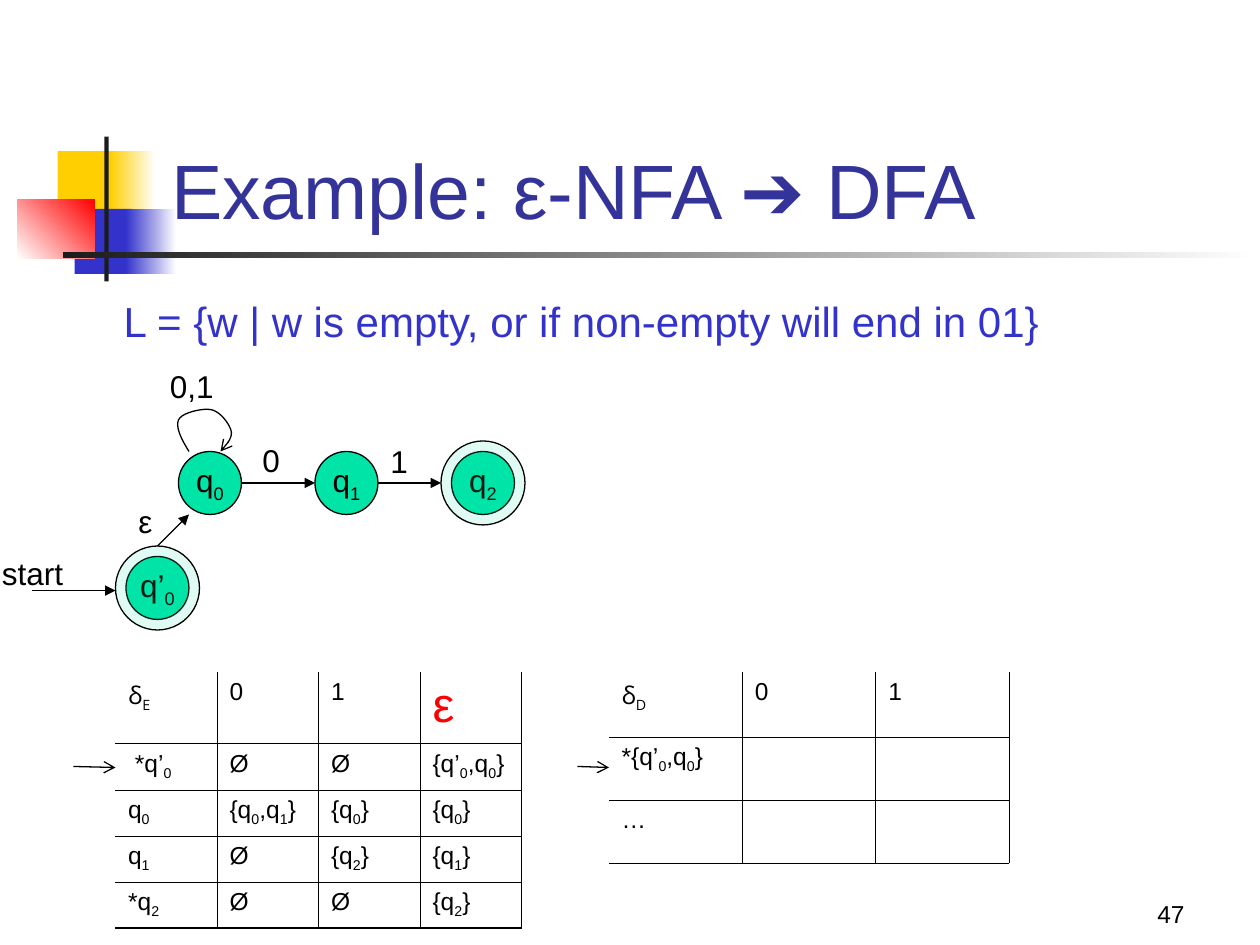
"""Builds a slide that turns an ε-NFA into a DFA, with state diagram and transition tables."""
from dataclasses import dataclass

from lxml.etree import SubElement
from pptx import Presentation
from pptx.dml.color import RGBColor
from pptx.enum.shapes import MSO_CONNECTOR, MSO_SHAPE
from pptx.enum.text import MSO_ANCHOR, MSO_AUTO_SIZE, PP_ALIGN
from pptx.oxml import parse_xml
from pptx.oxml.ns import nsdecls, qn
from pptx.util import Inches, Pt


@dataclass(frozen=True)
class Theme:
    font: str = "Arial"
    symbol_font: str = "Open Sans"
    title: str = "333399"
    blue: str = "3333CC"
    yellow: str = "FFCF01"
    red: str = "FF0000"
    bar: str = "1C1C1C"
    white: str = "FFFFFF"
    ink: str = "000000"
    state: str = "00E4A8"
    title_size: int = 44
    formula_size: int = 24
    label_size: int = 18
    cell_size: int = 14
    epsilon_size: int = 28
    line: float = 0.75
    rule: float = 0.45
    outer_rule: float = 1.08


THEME = Theme()
COLUMNS, ROWS = 120, 90
WIDTH, HEIGHT = Inches(10), Inches(7.5)

TITLE = "Example: ε-NFA ➔ DFA"
FORMULA = "L = {w | w is empty, or if non-empty will end in 01}"
PAGE = "47"

ORNAMENTS = [
    ((5.5, 14.4, 5.8, 6.2), (THEME.yellow,), 0),
    ((10.5, 14.4, 4.3, 6.2), (THEME.yellow, THEME.white), 0),
    ((7.1, 19.9, 5.5, 6.2), (THEME.blue,), 0),
    ((12, 19.9, 4.8, 6.2), (THEME.blue, THEME.white), 0),
    ((1.65, 19, 7.4, 5.6), (THEME.white, THEME.red), 45),
    ((9.95, 13, 0.4, 13.8), (THEME.bar,), 0),
    ((6, 24, 114, 0.6), (THEME.bar, THEME.white), 0),
]

STATES = [
    ("q_0", 20, 46, False),
    ("q_1", 33, 46, False),
    ("q_2", 46, 46, True),
    ("q’_0", 15, 56, True),
]
STATE_RADIUS, ACCEPT_RADIUS = 3, 4

LABELS = [
    ("start", (-1, 52.2, 8.2, 4.8)),
    ("0", (23.8, 41.4, 4.1, 4.8)),
    ("0,1", (15, 34.4, 6.6, 4.8)),
    ("1", (36, 41.5, 4.1, 4.8)),
    ("ε", (12, 47.2, 3.7, 4.8)),
]

ARROWS = [
    ((3, 56.25), (11, 56.25), "triangle"),
    ((23, 46), (30, 46), "triangle"),
    ((36, 46), (42, 46), "triangle"),
    ((15, 52), (18, 49), "triangle"),
    ((7, 73), (11, 73.1), "arrow"),
    ((55, 73), (58, 73.1), "arrow"),
]

LOOP_START = (18, 43)
LOOP_CURVES = [
    ((17.3, 41.9), (16.7, 40.7), (17, 40)),
    ((17.3, 39.3), (19.2, 38.9), (20, 39)),
    ((20.9, 39.1), (21.8, 40.3), (22, 41)),
    ((22.2, 41.6), (21.6, 42.4), (21, 43)),
]
CURVE_STEPS = 10

NFA_ROWS = [
    ["δ_E", "0", "1", "ε"],
    [" *q’_0", "Ø", "Ø", "{q’_0,q_0}"],
    ["q_0", "{q_0,q_1}", "{q_0}", "{q_0}"],
    ["q_1", "Ø", "{q_2}", "{q_1}"],
    ["*q_2", "Ø", "Ø", "{q_2}"],
]
DFA_ROWS = [
    ["δ_D", "0", "1"],
    ["*{q’_0,q_0}", "", ""],
    ["…", "", ""],
]
TABLES = [
    (NFA_ROWS, (11, 64), 9.67, 6.84, 4.39, THEME.outer_rule),
    (DFA_ROWS, (58, 64), 12.7, 6.2, 6, THEME.rule),
]


def place(*cells):
    return [round(n * (HEIGHT / ROWS if i % 2 else WIDTH / COLUMNS)) for i, n in enumerate(cells)]


def rgb(color):
    return RGBColor.from_string(color)


def write(frame, text, size, color=THEME.ink, font=THEME.font, align=PP_ALIGN.LEFT):
    """Write text run by run; an underscore lowers the character after it."""
    paragraph = frame.paragraphs[0]
    paragraph.alignment = align
    first, *rest = text.split("_")
    pieces = [(first, False)]
    for part in rest:
        pieces += [(part[0], True), (part[1:], False)]
    for piece, lowered in pieces:
        if piece:
            run = paragraph.add_run()
            run.text = piece
            run.font.size = Pt(size)
            run.font.name = font
            run.font.color.rgb = rgb(color)
            if lowered:
                run.font._element.set("baseline", "-25000")


def add_text(slide, box, text, size, color=THEME.ink, align=PP_ALIGN.LEFT, anchor=MSO_ANCHOR.TOP, wrap=False):
    frame = slide.shapes.add_textbox(*place(*box)).text_frame
    frame.word_wrap = wrap
    frame.vertical_anchor = anchor
    write(frame, text, size, color, align=align)


def add_ornament(slide, box, colors, angle):
    block = slide.shapes.add_shape(MSO_SHAPE.RECTANGLE, *place(*box))
    block.shadow.inherit = False
    block.line.fill.background()
    if len(colors) == 1:
        block.fill.solid()
        block.fill.fore_color.rgb = rgb(colors[0])
        return
    block.fill.gradient()
    block.fill.gradient_angle = angle
    for stop, color in zip(block.fill.gradient_stops, colors):
        stop.color.rgb = rgb(color)


def stroke(outline):
    outline.line.color.rgb = rgb(THEME.ink)
    outline.line.width = Pt(THEME.line)


def add_arrowhead(outline, head):
    properties = outline._element.spPr
    SubElement(properties.find(qn("a:ln")), qn("a:tailEnd"), type=head)
    if properties.find(qn("a:effectLst")) is None:
        SubElement(properties, qn("a:effectLst"))


def add_circle(slide, x, y, radius):
    circle = slide.shapes.add_shape(MSO_SHAPE.OVAL, *place(x - radius, y - radius, 2 * radius, 2 * radius))
    circle.shadow.inherit = False
    circle.fill.solid()
    circle.fill.fore_color.rgb = rgb(THEME.state)
    stroke(circle)
    return circle


def add_state(slide, name, x, y, accepting):
    state = add_circle(slide, x, y, STATE_RADIUS)
    state.text_frame.word_wrap = False
    state.text_frame.vertical_anchor = MSO_ANCHOR.MIDDLE
    write(state.text_frame, name, THEME.label_size, align=PP_ALIGN.CENTER)
    if accepting:
        ring = add_circle(slide, x, y, ACCEPT_RADIUS)
        tint = ring._element.spPr.find(qn("a:solidFill"))[0]
        SubElement(tint, qn("a:alpha"), val="12000")


def add_arrow(slide, start, end, head):
    arrow = slide.shapes.add_connector(MSO_CONNECTOR.STRAIGHT, *place(*start, *end))
    stroke(arrow)
    add_arrowhead(arrow, head)


def add_loop(slide):
    points, start = [], LOOP_START
    for curve in LOOP_CURVES:
        for t in (step / CURVE_STEPS for step in range(1, CURVE_STEPS + 1)):
            weights = ((1 - t) ** 3, 3 * t * (1 - t) ** 2, 3 * t * t * (1 - t), t ** 3)
            x, y = (sum(w * n for w, n in zip(weights, axis)) for axis in zip(start, *curve))
            points.append(place(x, y))
        start = curve[-1]
    builder = slide.shapes.build_freeform(*place(*LOOP_START))
    builder.add_line_segments(points, close=False)
    loop = builder.convert_to_shape()
    loop.shadow.inherit = False
    loop.fill.background()
    stroke(loop)
    add_arrowhead(loop, "arrow")


def set_borders(cell, widths):
    for index, (side, width) in enumerate(widths.items()):
        paint = f'<a:solidFill><a:srgbClr val="{THEME.ink}"/></a:solidFill>' if width else "<a:noFill/>"
        border = f'<a:ln{side} {nsdecls("a")} w="{Pt(width)}">{paint}</a:ln{side}>'
        cell._tc.get_or_add_tcPr().insert(index, parse_xml(border))


def add_transitions(slide, rows, corner, column_width, head_height, row_height, outer):
    last_row, last_column = len(rows) - 1, len(rows[0]) - 1
    size = (column_width * len(rows[0]), head_height + row_height * last_row)
    table = slide.shapes.add_table(len(rows), len(rows[0]), *place(*corner, *size)).table
    table.first_row = table.horz_banding = False
    for column in table.columns:
        column.width = place(column_width)[0]
    for r, texts in enumerate(rows):
        table.rows[r].height = place(0, row_height if r else head_height)[1]
        for c, text in enumerate(texts):
            cell = table.cell(r, c)
            cell.fill.background()
            set_borders(cell, {
                "L": THEME.rule if c else 0,
                "R": outer if c == last_column else THEME.rule,
                "T": THEME.rule if r else 0,
                "B": outer if r == last_row else THEME.rule,
            })
            epsilon = text == "ε"
            write(cell.text_frame, text,
                  THEME.epsilon_size if epsilon else THEME.cell_size,
                  THEME.red if epsilon else THEME.ink,
                  THEME.symbol_font if text.startswith("δ") else THEME.font)


def main():
    deck = Presentation()
    deck.slide_width, deck.slide_height = WIDTH, HEIGHT
    slide = deck.slides.add_slide(deck.slide_layouts[5])
    for ornament in ORNAMENTS:
        add_ornament(slide, *ornament)
    title = slide.shapes.title
    title.left, title.top, title.width, title.height = place(15.1, 8, 102.2, 15)
    title.text_frame.auto_size = MSO_AUTO_SIZE.NONE
    title.text_frame.vertical_anchor = MSO_ANCHOR.BOTTOM
    write(title.text_frame, TITLE, THEME.title_size, THEME.title)
    add_text(slide, (10.6, 27.6, 90, 6), FORMULA, THEME.formula_size, THEME.blue)
    add_text(slide, (89, 83, 25, 6), PAGE, THEME.cell_size,
             align=PP_ALIGN.RIGHT, anchor=MSO_ANCHOR.BOTTOM, wrap=True)
    for state in STATES:
        add_state(slide, *state)
    for label, box in LABELS:
        add_text(slide, box, label, THEME.label_size)
    add_loop(slide)
    for transitions in TABLES:
        add_transitions(slide, *transitions)
    for arrow in ARROWS:
        add_arrow(slide, *arrow)
    deck.save("out.pptx")


if __name__ == "__main__":
    main()
